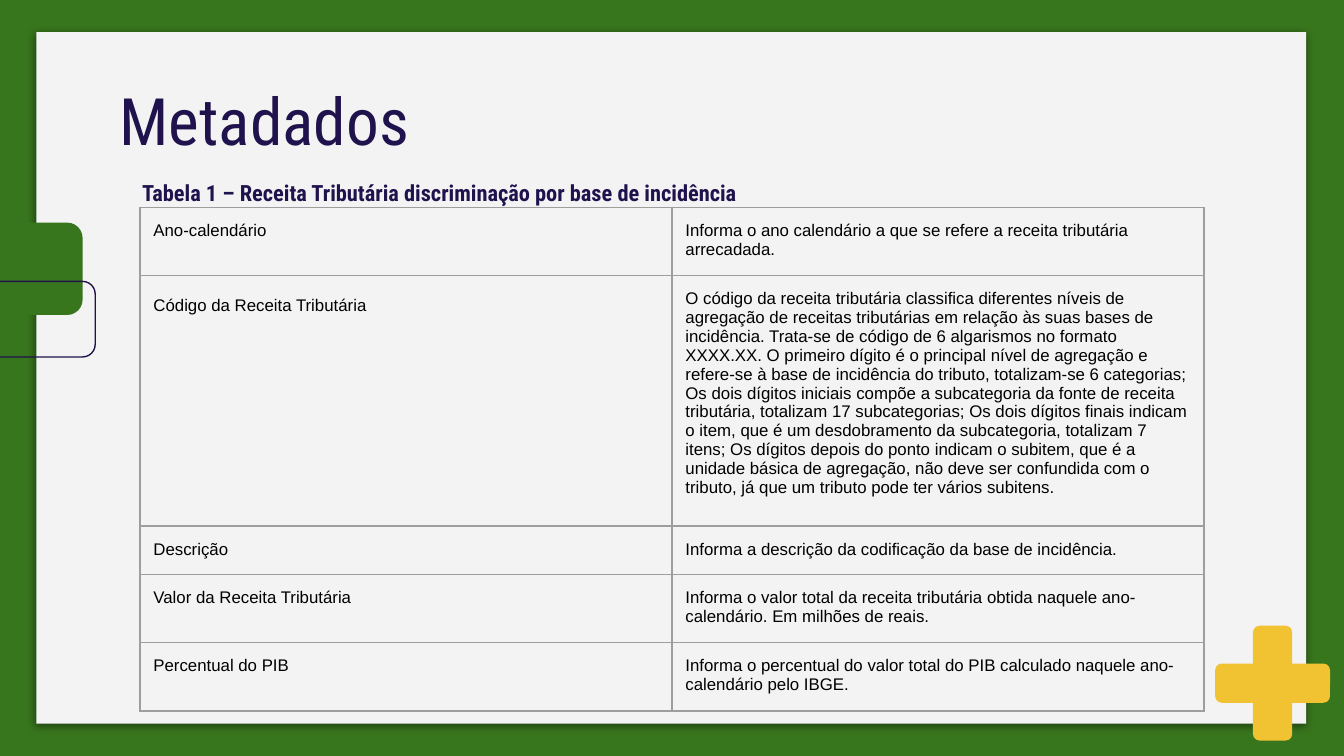
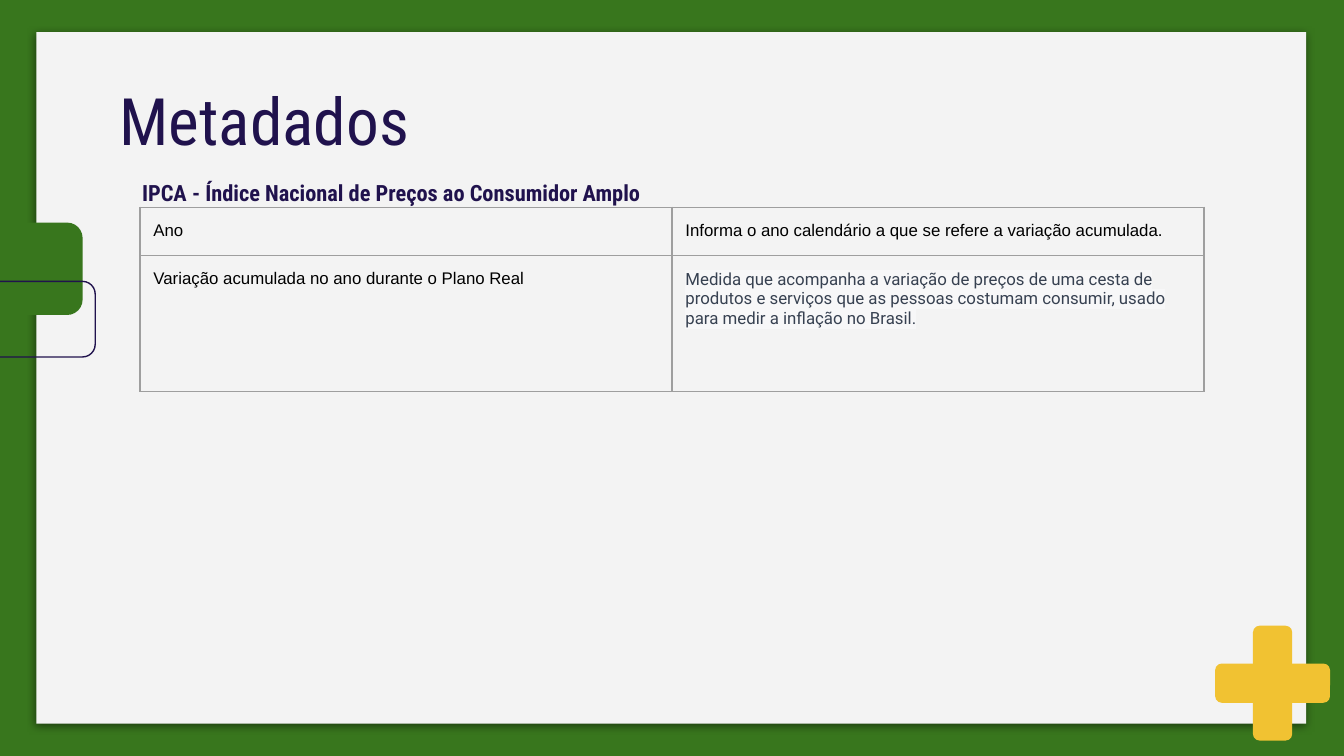
from pptx import Presentation
from pptx.dml.color import RGBColor as RGB
from pptx.enum.shapes import MSO_SHAPE as SHAPE
from pptx.enum.text import MSO_ANCHOR as ANCHOR
from pptx.oxml import parse_xml
from pptx.oxml.ns import nsdecls
from pptx.util import Pt

PX = 9525
COLORS = {"green": "38761D", "paper": "F3F3F3", "gold": "F1C232", "navy": "20124D",
          "black": "000000", "slate": "374151", "glow": "F7F7F8", "rule": "9E9E9E"}
NS = nsdecls("a")
HEAD = "Roboto Condensed"


def put(para, text, size, font, color, bold=False):
    run = para.add_run()
    run.text = text
    run.font.size = Pt(size)
    run.font.name = font
    run.font.bold = bold
    run.font.color.rgb = RGB.from_string(COLORS[color])
    return run


def draw(slide, kind, box, fill=None, turn=0):
    shape = slide.shapes.add_shape(kind, *[n * PX for n in box])
    shape.shadow.inherit = False
    shape.rotation = turn
    if fill:
        shape.fill.solid()
        shape.fill.fore_color.rgb = RGB.from_string(COLORS[fill])
        shape.line.fill.background()
    else:
        shape.fill.background()
        shape.line.color.rgb = RGB.from_string(COLORS["navy"])
        shape.line.width = Pt(0.75)
    return shape


# Each page: subtitle, row heights, table rows
PAGES = [
    ("Tabela 1 – Receita Tributária discriminação por base de incidência",
     [46, 178, 32, 46, 46],
     [("Ano-calendário",
       "Informa o ano calendário a que se refere a receita tributária arrecadada."),
      ("Código da Receita Tributária",
       "O código da receita tributária classifica diferentes níveis de agregação de "
       "receitas tributárias em relação às suas bases de incidência. Trata-se de código "
       "de 6 algarismos no formato XXXX.XX. O primeiro dígito é o principal nível de "
       "agregação e refere-se à base de incidência do tributo, totalizam-se 6 categorias; "
       "Os dois dígitos iniciais compõe a subcategoria da fonte de receita tributária, "
       "totalizam 17 subcategorias; Os dois dígitos finais indicam o item, que é um "
       "desdobramento da subcategoria, totalizam 7 itens; Os dígitos depois do ponto "
       "indicam o subitem, que é a unidade básica de agregação, não deve ser confundida "
       "com o tributo, já que um tributo pode ter vários subitens."),
      ("Descrição", "Informa a descrição da codificação da base de incidência."),
      ("Valor da Receita Tributária",
       "Informa o valor total da receita tributária obtida naquele ano-calendário. "
       "Em milhões de reais."),
      ("Percentual do PIB",
       "Informa o percentual do valor total do PIB calculado naquele ano-calendário "
       "pelo IBGE.")]),
    ("IPCA - Índice Nacional de Preços ao Consumidor Amplo",
     [32, 97],
     [("Ano", "Informa o ano calendário a que se refere a variação acumulada."),
      ("Variação acumulada no ano durante o Plano Real",
       "Medida que acompanha a variação de preços de uma cesta de produtos e serviços "
       "que as pessoas costumam consumir, usado para medir a inflação no Brasil.")]),
]

deck = Presentation()
deck.slide_width, deck.slide_height = 960 * PX, 540 * PX

for sub, highs, rows in PAGES:
    slide = deck.slides.add_slide(deck.slide_layouts[6])
    slide.background.fill.solid()
    slide.background.fill.fore_color.rgb = RGB.from_string(COLORS["green"])

    # Paper panel with a soft shadow
    panel = draw(slide, SHAPE.RECTANGLE, (26, 23, 907, 494), "paper")
    props = panel.element.spPr
    props.remove(props.find("{*}effectLst"))
    props.append(parse_xml(
        f'<a:effectLst {NS}><a:outerShdw blurRad="57150" dist="19050" dir="5400000" '
        f'algn="bl" rotWithShape="0"><a:srgbClr val="{COLORS["black"]}">'
        '<a:alpha val="50000"/></a:srgbClr></a:outerShdw></a:effectLst>'))

    # Left tab, plus sign and outlined tab
    draw(slide, SHAPE.ROUNDED_RECTANGLE, (-25, 159, 84, 66), "green", 180)
    for turn in (0, 90):
        draw(slide, SHAPE.ROUNDED_RECTANGLE, (895, 447, 28, 82), "gold", turn)
    draw(slide, SHAPE.ROUND_2_SAME_RECTANGLE, (1, 188, 54, 80), turn=90)

    # Title and subtitle
    for text, box, size, bold, anchor, space in (
            ("Metadados", (76, 47, 809, 60), 35, False, ANCHOR.TOP, 1.0),
            (sub, (92, 120, 649, 37), 12, True, ANCHOR.BOTTOM, 1.15)):
        frame = slide.shapes.add_textbox(*[n * PX for n in box]).text_frame
        frame.word_wrap = True
        frame.vertical_anchor = anchor
        frame.margin_top = frame.margin_bottom = 10 * PX
        para = frame.paragraphs[0]
        para.line_spacing = space
        put(para, text, size, HEAD, "navy", bold)

    # Table
    grid = slide.shapes.add_table(len(rows), 2, 100 * PX, 148 * PX,
                                  760 * PX, sum(highs) * PX).table
    grid.first_row = grid.horz_banding = False
    for col in grid.columns:
        col.width = 380 * PX
    for r, (high, row) in enumerate(zip(highs, rows)):
        grid.rows[r].height = high * PX
        for c, text in enumerate(row):
            cell = grid.cell(r, c)
            cell.margin_top = cell.margin_bottom = 10 * PX
            cell.fill.background()
            for i, side in enumerate("LRTB"):
                cell._tc.tcPr.insert(i, parse_xml(
                    f'<a:ln{side} {NS} w="9525"><a:solidFill>'
                    f'<a:srgbClr val="{COLORS["rule"]}"/></a:solidFill></a:ln{side}>'))
            para = cell.text_frame.paragraphs[0]
            if text.startswith("Medida"):
                run = put(para, text, 9, "Roboto", "slate")
                run.font._element.find("{*}solidFill").addnext(parse_xml(
                    f'<a:highlight {NS}><a:srgbClr val="{COLORS["glow"]}"/></a:highlight>'))
            else:
                put(para, text, 9, "Arial", "black")
            if text.startswith("Código"):
                put(para, " ", 13, "Arial", "black")

deck.save("out.pptx")
